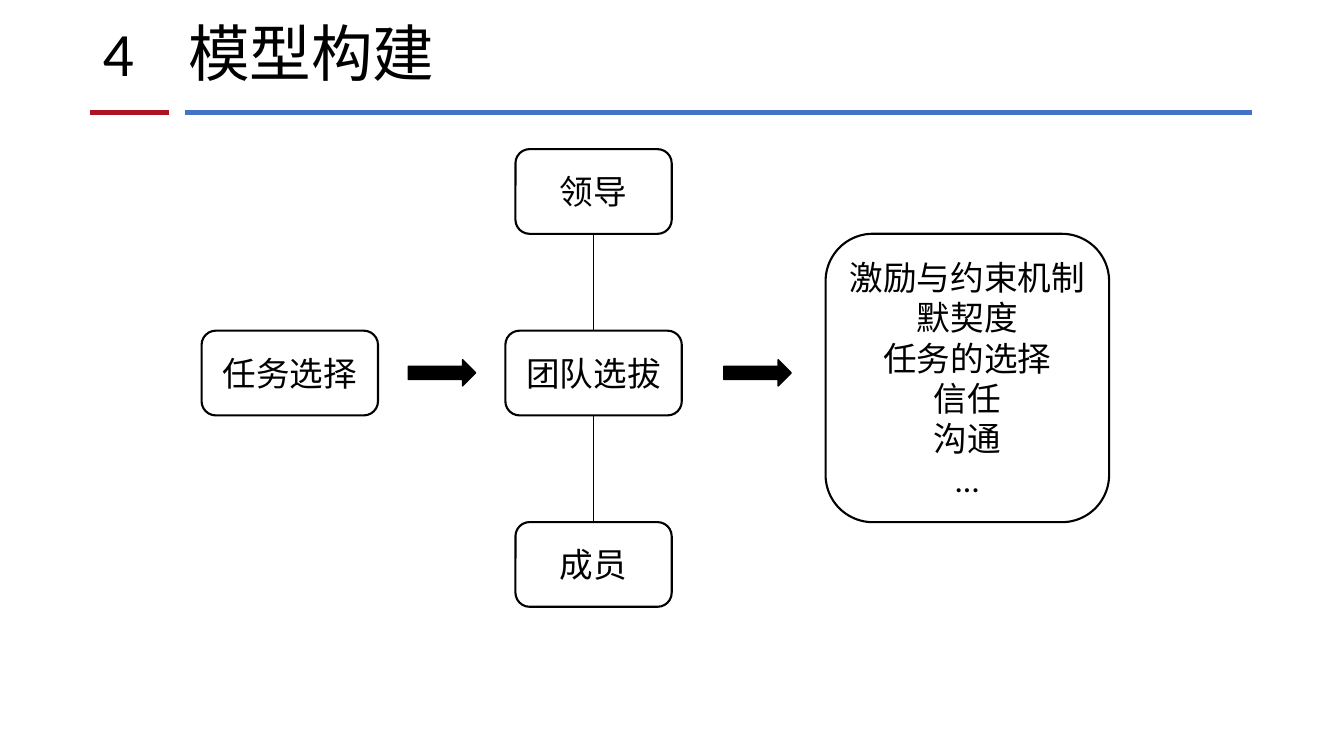
from pptx import Presentation
from pptx.dml.color import RGBColor
from pptx.enum.shapes import MSO_CONNECTOR as Link, MSO_SHAPE as Kind
from pptx.enum.text import MSO_ANCHOR as Anchor, MSO_AUTO_SIZE as Fit, PP_ALIGN as Align
from pptx.oxml.ns import qn
from pptx.util import Pt
from lxml.etree import SubElement

# Content
TITLE = "4\t模型构建"
FONT = "Calibri"
COLOR = {"ink": "000000", "paper": "FFFFFF", "red": "AE1324", "blue": "4472C4"}
RULES = [(64, 120.5, "red"), (132.5, 894.5, "blue")]
MID_X, MID_Y, HIGH = 424, 266.5, 60.5
# name: centre x, centre y, width, height, lines
BOXES = {
    "lead": (MID_X, 136.8, 111.6, HIGH, ["领导"]),
    "team": (MID_X, MID_Y, 126, HIGH, ["团队选拔"]),
    "task": (207, MID_Y, 126, HIGH, ["任务选择"]),
    "crew": (MID_X, 403.2, 111.6, HIGH, ["成员"]),
    "factors": (691, 270, 202.5, 206,
                ["激励与约束机制", "默契度", "任务的选择", "信任", "沟通", "…"]),
}
LINKS = [("lead", "team"), ("team", "crew")]
ARROWS = [291.6, 517]

deck = Presentation()
deck.slide_width, deck.slide_height = Pt(960), Pt(540)
slide = deck.slides.add_slide(deck.slide_layouts[5])
shapes = slide.shapes


def rgb(name):
    return RGBColor.from_string(COLOR[name])


def write(para, text, size):
    run = para.add_run()
    run.text = text
    run.font.name, run.font.size = FONT, Pt(size)
    run.font.color.rgb = rgb("ink")


def line(x1, y1, x2, y2, color, width):
    link = shapes.add_connector(Link.STRAIGHT, Pt(x1), Pt(y1), Pt(x2), Pt(y2))
    link.line.color.rgb, link.line.width = rgb(color), Pt(width)
    SubElement(link._element.spPr, qn("a:effectLst"))
    return link


def block(kind, x, y, w, h, fill, width):
    item = shapes.add_shape(kind, Pt(x), Pt(y), Pt(w), Pt(h))
    item.shadow.inherit = False
    item.fill.solid()
    item.fill.fore_color.rgb = rgb(fill)
    item.line.color.rgb, item.line.width = rgb("ink"), Pt(width)
    return item


# Title with a tab between number and heading
title = shapes.title
title.left, title.top, title.width, title.height = Pt(66.2), Pt(10), Pt(620.6), Pt(60.5)
frame = title.text_frame
frame.auto_size, frame.vertical_anchor = Fit.NONE, Anchor.MIDDLE
para = frame.paragraphs[0]
para.alignment, para.line_spacing = Align.LEFT, 0.9
tabs = SubElement(para._p.get_or_add_pPr(), qn("a:tabLst"))
SubElement(tabs, qn("a:tab"), pos=str(Pt(61)), algn="l")
write(para, TITLE, 44)

# Rules under the title
for start, end, color in RULES:
    line(start, 80.6, end, 80.6, color, 3.5)

# Boxes
made = {}
for name, (x, y, w, h, lines) in BOXES.items():
    box = block(Kind.ROUNDED_RECTANGLE, x - w / 2, y - h / 2, w, h, "paper", 1.5)
    frame = box.text_frame
    frame.word_wrap, frame.vertical_anchor = True, Anchor.MIDDLE
    for i, text in enumerate(lines):
        para = frame.add_paragraph() if i else frame.paragraphs[0]
        para.alignment = Align.CENTER
        write(para, text, 24)
    made[name] = box

# Lines joining the middle column
for upper, lower in LINKS:
    link = line(MID_X, BOXES[upper][1], MID_X, BOXES[lower][1], "ink", 0.5)
    link.begin_connect(made[upper], 2)
    link.end_connect(made[lower], 0)

# Block arrows
for x in ARROWS:
    block(Kind.RIGHT_ARROW, x, 257, 48.2, 18.7, "ink", 1)

deck.save("out.pptx")
